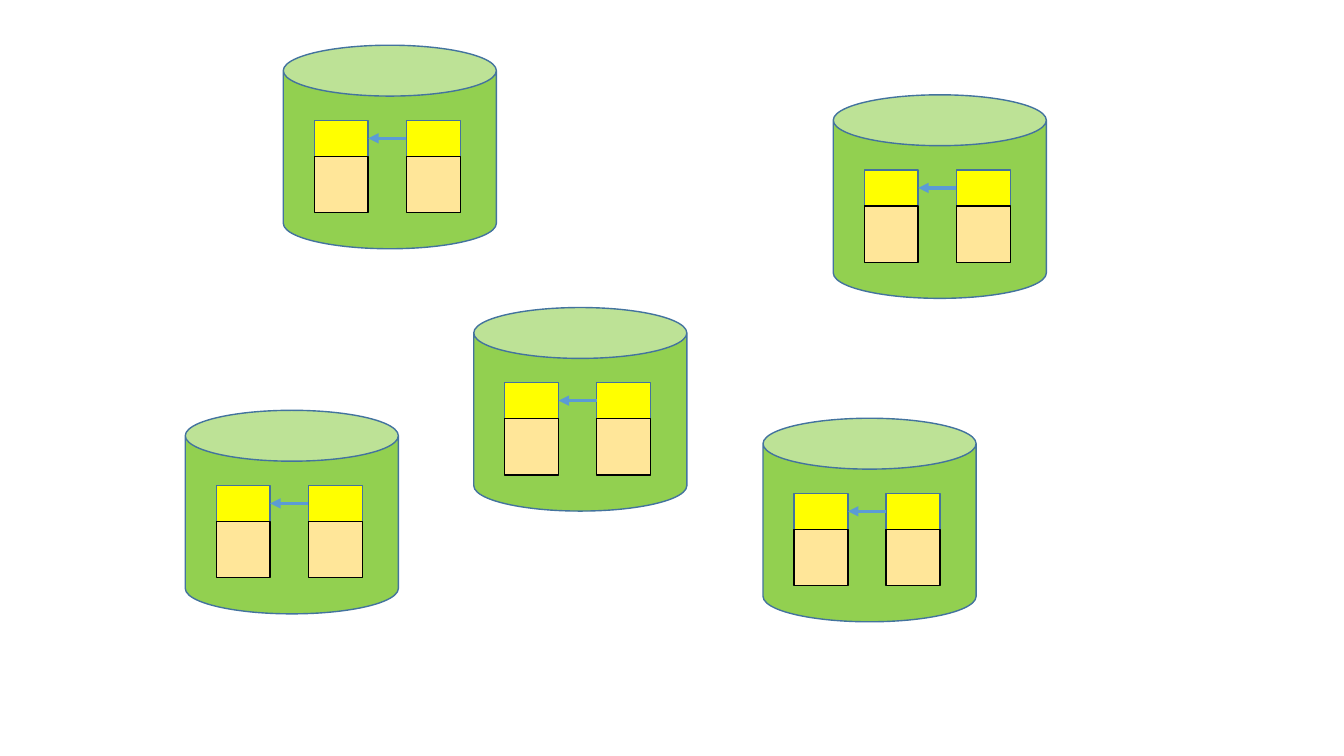
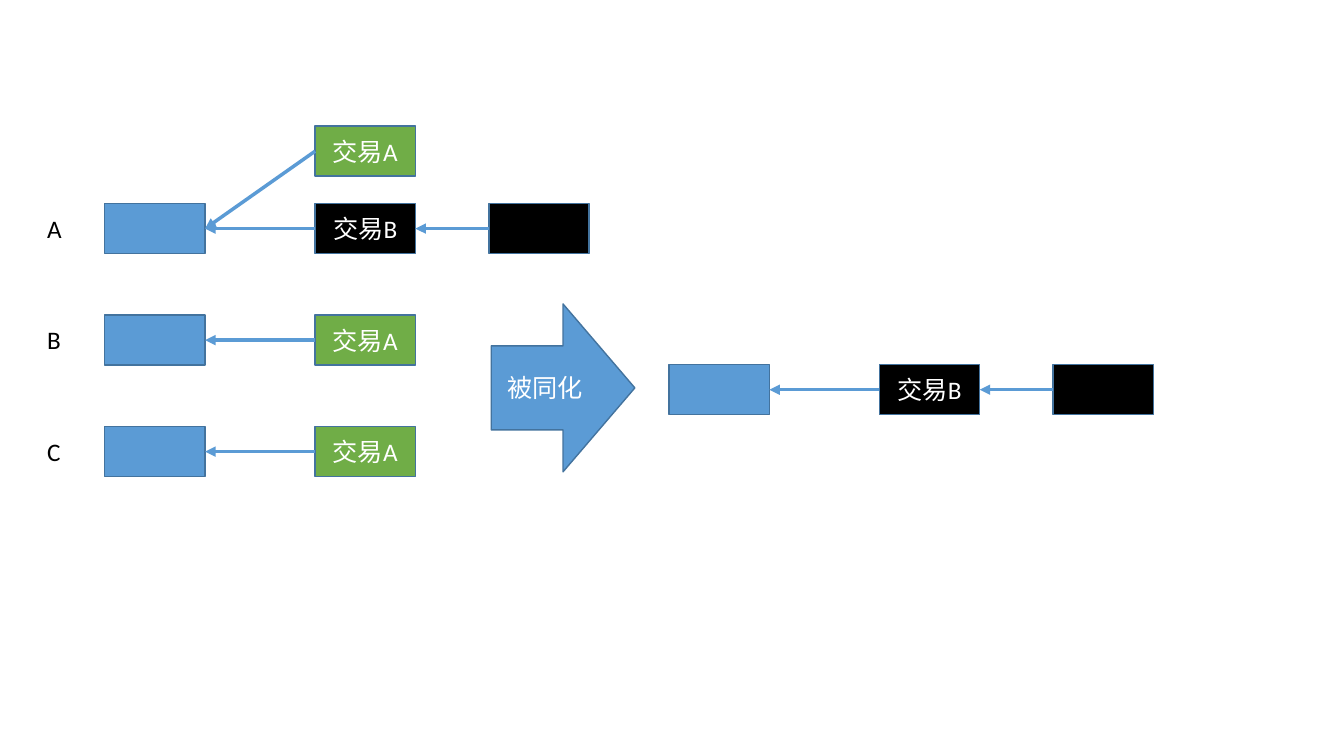
"""Build two slides on chained blocks: replicated ledgers and a fork being resolved."""
from dataclasses import dataclass
from itertools import pairwise

from lxml.etree import SubElement
from pptx import Presentation
from pptx.dml.color import RGBColor
from pptx.enum.shapes import MSO_CONNECTOR as Connector, MSO_SHAPE as Preset
from pptx.enum.text import MSO_ANCHOR as Anchor, MSO_AUTO_SIZE as AutoSize, PP_ALIGN as Align
from pptx.oxml.ns import qn
from pptx.shapes.autoshape import Shape
from pptx.slide import Slide
from pptx.text.text import _Paragraph as Paragraph
from pptx.util import Cm, Pt

BLUE = RGBColor(0x5B, 0x9B, 0xD5)
OUTLINE = RGBColor(0x43, 0x73, 0x9E)
LIME = RGBColor(0x92, 0xD0, 0x50)
YELLOW = RGBColor(0xFF, 0xFF, 0x00)
CREAM = RGBColor(0xFF, 0xE6, 0x99)
GREEN = RGBColor(0x70, 0xAD, 0x47)
BLACK = RGBColor(0, 0, 0)
WHITE = RGBColor(0xFF, 0xFF, 0xFF)
FONT = "Calibri"
FONT_SIZE = Pt(18)
LEFT_SIDE, RIGHT_SIDE = 1, 3

CAN_WIDTH, CAN_HEIGHT = 5.37, 5.13
BLOCK_LEFT, BLOCK_TOP = 0.78, 1.89
BLOCK_WIDTH, BLOCK_PITCH = 1.36, 2.32
HEADER_HEIGHT, BODY_HEIGHT = 0.91, 1.42

BOX_WIDTH, BOX_HEIGHT = 2.53, 1.26
CHAIN_OFFSETS = (0, 5.3, 9.68)
CHAIN_LEFT, MERGED_LEFT, MERGED_TOP = 2.64, 16.86, 9.19
ROW_TOP, ROW_PITCH, FORK_TOP = 5.13, 2.81, 3.18
LABEL_LEFT, LABEL_DROP = 0.94, 0.12


@dataclass(frozen=True)
class Position:
    left: float
    top: float


@dataclass(frozen=True)
class Box:
    fill: RGBColor
    text: str = ""


LEDGERS = (
    Position(4.67, 10.34),
    Position(21.0, 2.39),
    Position(7.14, 1.14),
    Position(11.94, 7.75),
    Position(19.23, 10.54),
)
GENESIS = Box(BLUE)
TRADE_A = Box(GREEN, "交易A")
TRADE_B = Box(BLACK, "交易B")
WINNING_CHAIN = (GENESIS, TRADE_B, Box(BLACK))
LOSING_CHAIN = (GENESIS, TRADE_A)
NODES = {"A": WINNING_CHAIN, "B": LOSING_CHAIN, "C": LOSING_CHAIN}


def style_text(paragraph: Paragraph, color: RGBColor) -> None:
    paragraph.font.name = FONT
    paragraph.font.size = FONT_SIZE
    paragraph.font.color.rgb = color


def add_shape(slide: Slide, preset: Preset, position: Position, width: float, height: float,
              fill: RGBColor, outline: RGBColor = OUTLINE, text: str = "") -> Shape:
    shape = slide.shapes.add_shape(
        preset, Cm(position.left), Cm(position.top), Cm(width), Cm(height))
    shape.shadow.inherit = False
    shape.fill.solid()
    shape.fill.fore_color.rgb = fill
    shape.line.color.rgb = outline
    shape.line.width = Pt(1)
    if text:
        frame = shape.text_frame
        frame.text = text
        frame.vertical_anchor = Anchor.MIDDLE
        paragraph = frame.paragraphs[0]
        paragraph.alignment = Align.CENTER
        style_text(paragraph, WHITE)
    return shape


def add_link(slide: Slide, later: Shape, earlier: Shape) -> None:
    connector = slide.shapes.add_connector(Connector.STRAIGHT, 0, 0, 0, 0)
    connector.begin_connect(later, LEFT_SIDE)
    connector.end_connect(earlier, RIGHT_SIDE)
    connector.line.color.rgb = BLUE
    connector.line.width = Pt(2.5)
    SubElement(connector.line._get_or_add_ln(), qn("a:tailEnd"), type="triangle")
    SubElement(connector._element.spPr, qn("a:effectLst"))


def add_block(slide: Slide, position: Position) -> Shape:
    header = add_shape(slide, Preset.RECTANGLE, position, BLOCK_WIDTH, HEADER_HEIGHT, YELLOW)
    body = Position(position.left, position.top + HEADER_HEIGHT)
    add_shape(slide, Preset.RECTANGLE, body, BLOCK_WIDTH, BODY_HEIGHT, CREAM, BLACK)
    return header


def add_ledger(slide: Slide, position: Position) -> None:
    add_shape(slide, Preset.CAN, position, CAN_WIDTH, CAN_HEIGHT, LIME)
    left, top = position.left + BLOCK_LEFT, position.top + BLOCK_TOP
    earlier, later = (
        add_block(slide, Position(left + index * BLOCK_PITCH, top)) for index in range(2))
    add_link(slide, later, earlier)


def add_box(slide: Slide, position: Position, box: Box) -> Shape:
    return add_shape(slide, Preset.RECTANGLE, position, BOX_WIDTH, BOX_HEIGHT,
                     box.fill, text=box.text)


def add_chain(slide: Slide, position: Position, boxes: tuple[Box, ...]) -> Shape:
    shapes = [add_box(slide, Position(position.left + offset, position.top), box)
              for offset, box in zip(CHAIN_OFFSETS, boxes)]
    for earlier, later in pairwise(shapes):
        add_link(slide, later, earlier)
    return shapes[0]


def add_label(slide: Slide, position: Position, text: str) -> None:
    label = slide.shapes.add_textbox(Cm(position.left), Cm(position.top), Cm(0.88), Cm(1.02))
    frame = label.text_frame
    frame.word_wrap = False
    frame.auto_size = AutoSize.SHAPE_TO_FIT_TEXT
    frame.text = text
    style_text(frame.paragraphs[0], BLACK)


def build_ledger_slide(slide: Slide) -> None:
    for position in LEDGERS:
        add_ledger(slide, position)


def build_fork_slide(slide: Slide) -> None:
    starts = []
    for row, (name, boxes) in enumerate(NODES.items()):
        top = ROW_TOP + row * ROW_PITCH
        add_label(slide, Position(LABEL_LEFT, top + LABEL_DROP), name)
        starts.append(add_chain(slide, Position(CHAIN_LEFT, top), boxes))
    fork = add_box(slide, Position(CHAIN_LEFT + CHAIN_OFFSETS[1], FORK_TOP), TRADE_A)
    add_link(slide, fork, starts[0])
    add_chain(slide, Position(MERGED_LEFT, MERGED_TOP), WINNING_CHAIN)
    add_shape(slide, Preset.RIGHT_ARROW, Position(12.38, 7.66), 3.62, 4.23, BLUE, text="被同化")


def main() -> None:
    presentation = Presentation()
    presentation.slide_width, presentation.slide_height = Cm(33.87), Cm(19.05)
    blank = presentation.slide_layouts[6]
    for build in (build_ledger_slide, build_fork_slide):
        build(presentation.slides.add_slide(blank))
    presentation.save("out.pptx")


if __name__ == "__main__":
    main()
